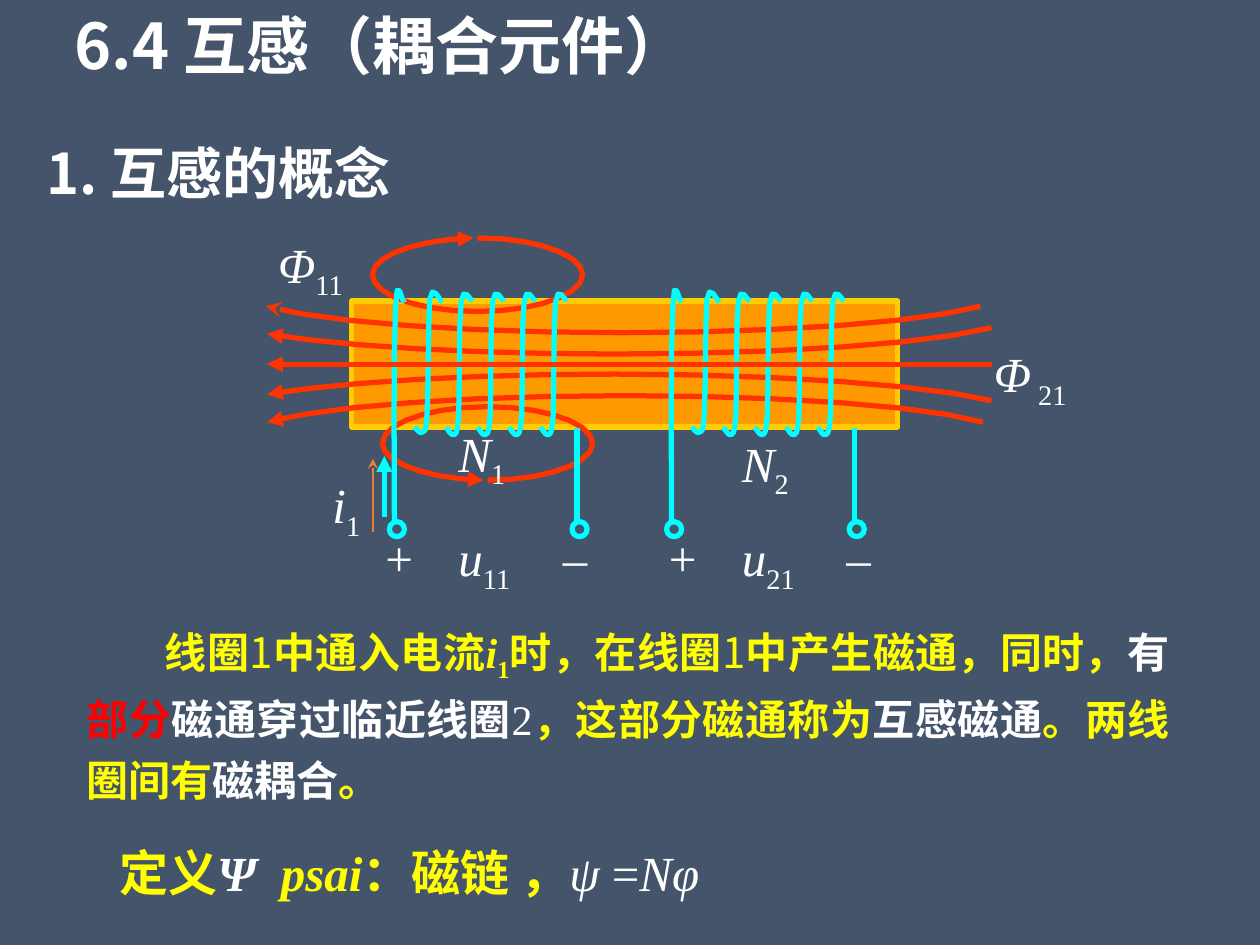
from lxml.etree import SubElement
from pptx import Presentation
from pptx.dml.color import RGBColor
from pptx.enum.shapes import MSO_CONNECTOR, MSO_SHAPE
from pptx.enum.text import MSO_ANCHOR, MSO_AUTO_SIZE, PP_ALIGN
from pptx.oxml.ns import qn
from pptx.util import Pt

SLATE = RGBColor(0x44, 0x54, 0x6A)
WHITE = RGBColor(0xFF, 0xFF, 0xFF)
YELLOW = RGBColor(0xFF, 0xFF, 0x00)
RED = RGBColor(0xFF, 0x00, 0x00)
FLUX_RED = RGBColor(0xFF, 0x33, 0x00)
CYAN = RGBColor(0x00, 0xFF, 0xFF)
CORE_ORANGE = RGBColor(0xFF, 0x99, 0x00)
CORE_EDGE = RGBColor(0xFF, 0xCC, 0x00)
CURRENT_ORANGE = RGBColor(0xED, 0x7D, 0x31)
SANS = "Noto Sans CJK SC"
SERIF = "Times New Roman"

presentation = Presentation()
presentation.slide_width = Pt(720)
presentation.slide_height = Pt(540)
slide = presentation.slides.add_slide(presentation.slide_layouts[6])
slide.background.fill.solid()
slide.background.fill.fore_color.rgb = SLATE


def write(left, top, width, height, size, runs):
    box = slide.shapes.add_textbox(Pt(left), Pt(top), Pt(width), Pt(height))
    frame = box.text_frame
    frame.word_wrap = True
    frame.auto_size = MSO_AUTO_SIZE.SHAPE_TO_FIT_TEXT
    for text, style, color, typeface in runs:
        run = frame.paragraphs[0].add_run()
        run.text = text
        run.font.size = Pt(size)
        run.font.bold = "b" in style
        run.font.italic = "i" in style
        run.font.color.rgb = color
        run.font.name = typeface
        properties = run.font._element
        SubElement(properties, qn("a:ea")).set("typeface", SANS)
        if "_" in style:
            properties.set("baseline", "-25000")
    return frame


def trace(points, color, steps):
    outline = [points[0]]
    for k in range(0, len(points) - 1, 3):
        a, b, c, d = points[k:k + 4]
        for step in range(1, steps + 1):
            t = step / steps
            outline.append(tuple(
                (1 - t) ** 3 * a[i] + 3 * (1 - t) ** 2 * t * b[i]
                + 3 * (1 - t) * t ** 2 * c[i] + t ** 3 * d[i] for i in (0, 1)))
    corners = [(Pt(x), Pt(y)) for x, y in outline]
    builder = slide.shapes.build_freeform(*corners[0])
    builder.add_line_segments(corners[1:], close=False)
    curve = builder.convert_to_shape()
    curve.shadow.inherit = False
    curve.fill.background()
    curve.line.color.rgb = color
    curve.line.width = Pt(3)
    return curve


core = slide.shapes.add_shape(MSO_SHAPE.RECTANGLE, Pt(201), Pt(172), Pt(312), Pt(72))
core.shadow.inherit = False
core.fill.solid()
core.fill.fore_color.rgb = CORE_ORANGE
core.line.color.rgb = CORE_EDGE
core.line.width = Pt(3)

arrows = []
flux_lines = [
    ("stealth", [(560.2, 175), (526.3, 184.3), (445.7, 190.1), (355.7, 190.1),
                 (266.4, 190.1), (185.8, 184.3), (151.9, 175)]),
    ("triangle", [(566.6, 187.2), (531.4, 196.6), (445.7, 202.3), (351.4, 202.3),
                  (270.7, 202.3), (195.1, 198), (152.6, 190.8)]),
    ("triangle", [(561.6, 241.2), (527.8, 231.8), (446.4, 226.1), (357.1, 226.1),
                  (267.8, 226.1), (187.2, 231.8), (152.6, 241.2)]),
    ("triangle", [(566.6, 229), (531.4, 220.3), (445.7, 213.8), (351.4, 213.8),
                  (270.7, 213.8), (195.1, 218.2), (152.6, 225.4)]),
]
for head, points in flux_lines:
    arrows.append((trace(points, FLUX_RED, 6), head))

leakage_loop = [(0, -21), (33.1, -21), (60.1, -11.5), (60.1, 0), (60.1, 11.5),
                (33.1, 21), (0, 21), (-33.1, 21), (-60.1, 11.5), (-60.1, 0),
                (-60.1, -10.8), (-34.6, -20.2), (-2.2, -21)]
for center_x, center_y, flip in [(278.6, 253.4, -1), (272.9, 157, 1)]:
    loop = [(center_x + x, center_y + flip * y) for x, y in leakage_loop]
    arrows.append((trace(loop, FLUX_RED, 7), "triangle"))

for left, top, width, symbol, subscript in [
    (560.9, 193, 81.4, "Φ", " 21"), (151.9, 130.3, 83.5, "Φ", "11"),
    (254.9, 298.1, 54, "u", "11"), (416.9, 298.1, 54, "u", "21"),
    (182.9, 267.8, 36, "i", "1"),
    (254.9, 238.3, 54, "N", "1"), (416.9, 244.1, 48.2, "N", "2"),
]:
    write(left, top, width, 41, 28,
          [(symbol, "i", WHITE, SERIF), (subscript, "_", WHITE, SERIF)])
for left, sign in [(213.1, "+"), (314.6, "–"), (375.1, "+"), (476.6, "–")]:
    write(left, 298.1, 30.2, 41, 28, [(sign, "", WHITE, SERIF)])

entry_wire = [(225.4, 298.1), (225.4, 277.2), (224.6, 195.8), (226.1, 175),
              (226.8, 154.1), (229.7, 173.5), (231.1, 172.8)]
first_turn = [(236.9, 244.1), (237.6, 244.8), (240.5, 248.4), (241.2, 247),
              (242.6, 245.5), (243.4, 249.1), (244.1, 236.2), (244.8, 223.9),
              (244.8, 182.2), (245.5, 171.4), (247, 160.6), (251.3, 172.1),
              (252.7, 172.8)]
next_turn = [(254.9, 244.1), (255.6, 244.8), (257.8, 249.1), (259.2, 248.4),
             (259.9, 247.7), (261.4, 249.8), (262.1, 237.6), (262.8, 224.6),
             (262.1, 183.6), (263.5, 172.8), (265, 162), (268.6, 172.1),
             (270, 172.1)]
windings = [(entry_wire, 0), (first_turn, 0)] + [(next_turn, 18 * n) for n in range(4)]
wires = [
    (566.6, 208.1, 152.6, 208.1, FLUX_RED, 3, "triangle"),
    (213.1, 303.8, 213.1, 262.1, CURRENT_ORANGE, 1.5, "stealth"),
    (219.6, 295.2, 219.6, 260.6, CYAN, 3, "triangle"),
]
for coil_x in (0, 158.4):
    for points, shift in windings:
        trace([(x + coil_x + shift, y) for x, y in points], CYAN, 4)
    wires.append((329.8 + coil_x, 244.8, 329.8 + coil_x, 298.8, CYAN, 3, None))
    for terminal_x in (222.5, 326.9):
        terminal = slide.shapes.add_shape(
            MSO_SHAPE.OVAL, Pt(terminal_x + coil_x), Pt(298.1), Pt(8.6), Pt(8.6))
        terminal.shadow.inherit = False
        terminal.fill.background()
        terminal.line.color.rgb = CYAN
        terminal.line.width = Pt(3)

for x1, y1, x2, y2, color, weight, head in wires:
    wire = slide.shapes.add_connector(
        MSO_CONNECTOR.STRAIGHT, Pt(x1), Pt(y1), Pt(x2), Pt(y2))
    wire.line.color.rgb = color
    wire.line.width = Pt(weight)
    SubElement(wire._element.spPr, qn("a:effectLst"))
    if head:
        arrows.append((wire, head))

for arrow, head in arrows:
    SubElement(arrow.line._get_or_add_ln(), qn("a:tailEnd")).set("type", head)

explanation = write(42.5, 347.8, 632.9, 108.7, 24, [
    ("线圈", "b", YELLOW, SANS), ("1", "", YELLOW, SANS),
    ("中通入电流", "b", YELLOW, SANS), ("i", "bi", YELLOW, SERIF),
    ("1", "b_", YELLOW, SERIF), ("时，在线圈", "b", YELLOW, SANS),
    ("1", "", YELLOW, SANS), ("中产生磁通，同时，", "b", YELLOW, SANS),
    ("有", "b", WHITE, SANS), ("部分", "b", RED, SANS),
    ("磁通穿过临近线圈", "b", WHITE, SANS), ("2", "", WHITE, SERIF),
    ("，这部分磁通称为", "b", YELLOW, SANS), ("互感磁通", "b", WHITE, SANS),
    ("。两线圈间有", "b", YELLOW, SANS), ("磁耦合", "b", WHITE, SANS),
    ("。", "b", YELLOW, SANS),
]).paragraphs[0]
explanation.alignment = PP_ALIGN.JUSTIFY
explanation.line_spacing = 1.2
explanation_layout = explanation._p.get_or_add_pPr()
explanation_layout.set("marL", "0")
explanation_layout.set("indent", str(Pt(44.6)))

write(61.2, 478.1, 550.1, 41, 28, [
    ("定义", "b", YELLOW, SERIF), ("Ψ  ", "bi", WHITE, SERIF),
    ("psai", "bi", YELLOW, SERIF), ("：磁链 ，", "b", YELLOW, SERIF),
    ("ψ ", "i", WHITE, SERIF), ("=", "", WHITE, SERIF), ("Nφ", "i", WHITE, SERIF),
])
write(19.4, 75.6, 362.9, 45.4, 32, [("1. 互感的概念", "b", WHITE, SANS)])
title = write(13.7, 0, 408.2, 51.1, 36, [("6.4 互感（耦合元件）", "b", WHITE, SANS)])
title.vertical_anchor = MSO_ANCHOR.MIDDLE
title.paragraphs[0].alignment = PP_ALIGN.CENTER

presentation.save("out.pptx")
